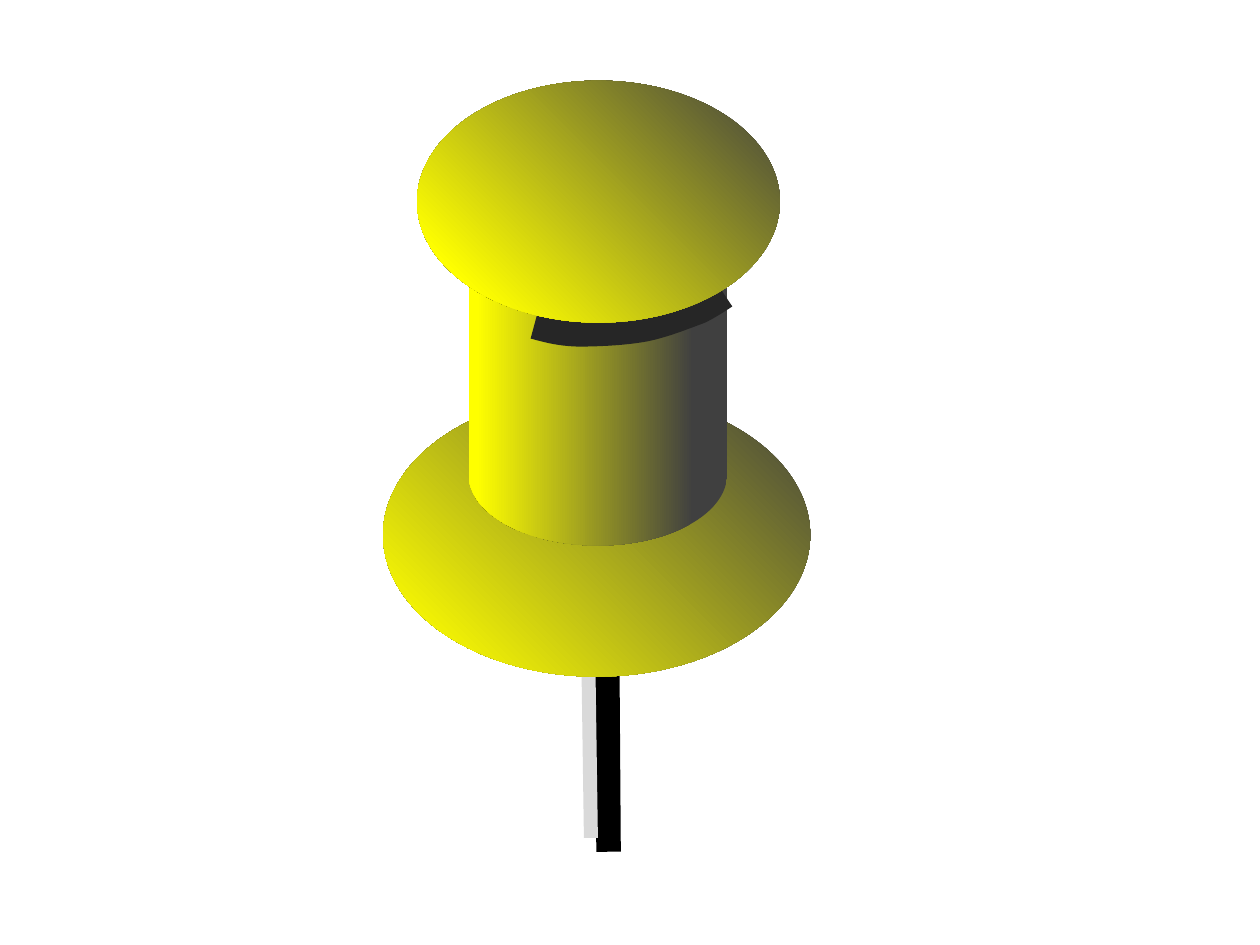
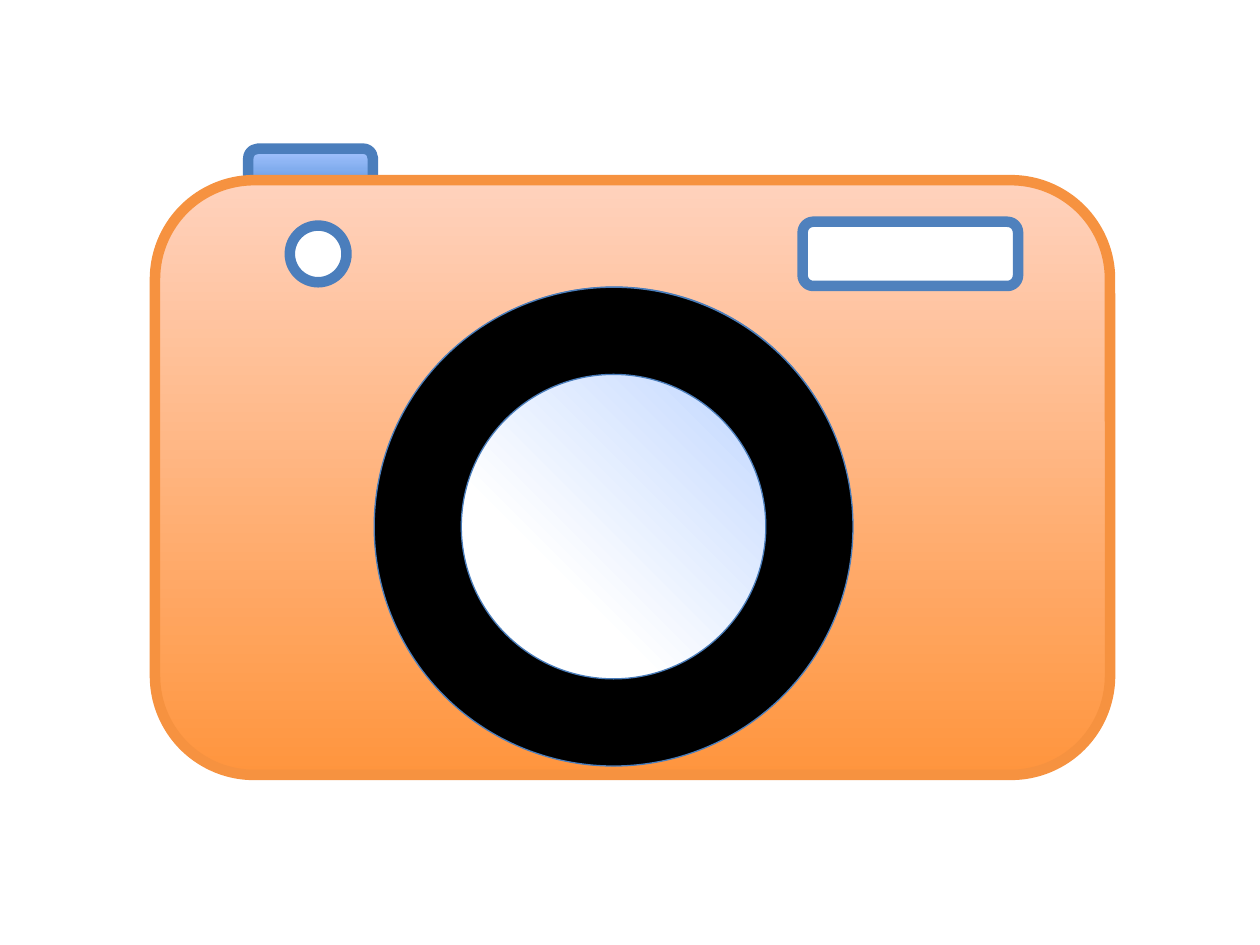
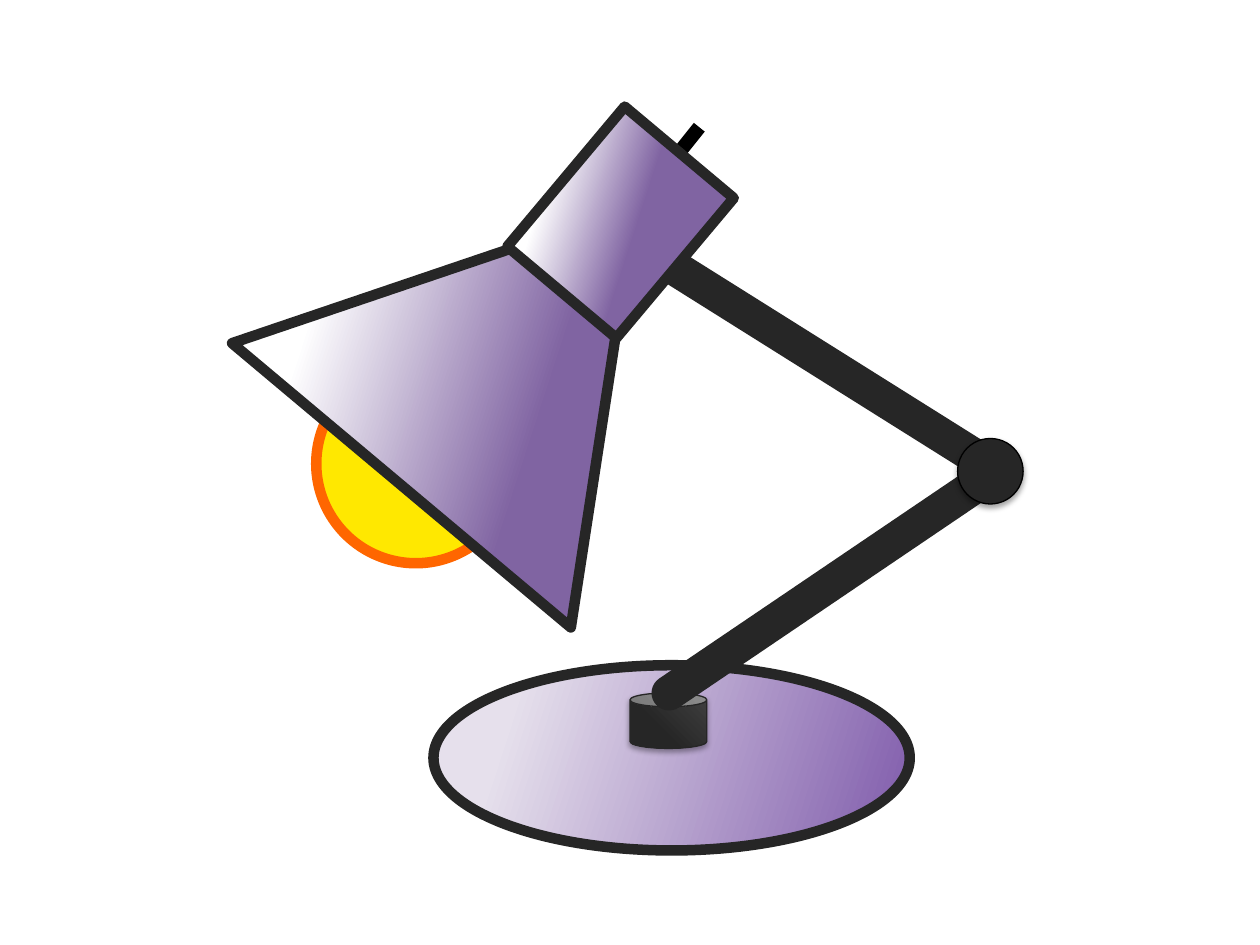
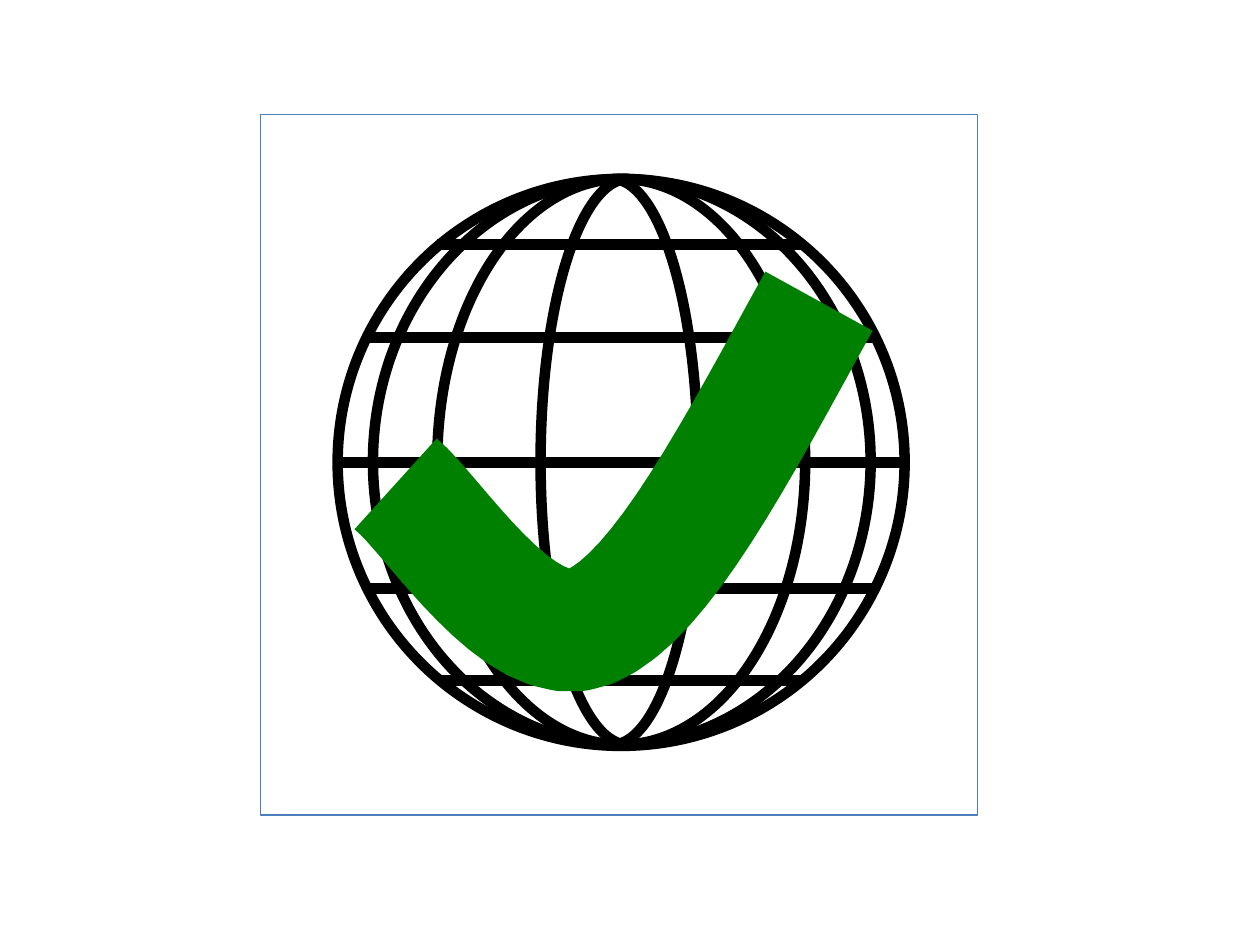
import pptx
import pptx.util
import pptx.oxml
import pptx.oxml.ns
import pptx.dml.color
import pptx.enum.shapes
from dataclasses import dataclass

Inches = pptx.util.Inches
Pt = pptx.util.Pt
MSO = pptx.enum.shapes.MSO_SHAPE


@dataclass(frozen=True)
class Theme:
    black: str = "000000"
    white: str = "FFFFFF"
    ink: str = "262626"
    grey: str = "404040"
    silver: str = "D9D9D9"
    yellow: str = "FFFF00"
    bulb: str = "FFE800"
    glow: str = "FF6600"
    blue: str = "4B7EBC"
    window: str = "4F81BD"
    deep_blue: str = "3F80CE"
    sky: str = "A4C4FF"
    orange: str = "FF953E"
    peach: str = "FFD2BD"
    rim: str = "F69240"
    purple: str = "8064A2"
    violet: str = "7F5BAB"
    lilac: str = "E6E0EC"
    green: str = "008000"
    hair: float = 0.75
    bold: float = 6
    pin: float = 8
    arm: float = 20


T = Theme()


@dataclass(frozen=True)
class Grad:
    stops: tuple
    angle: int = None


def corner(start, first, last=T.grey):
    return Grad(((start, first), (100, last)))


SHADE = Grad(((44, T.purple), (79, T.white)), 198)
DARK = (T.ink, T.bold)
BLACK = (T.black, T.bold)
BLUE = (T.blue, T.bold)
HAIR = (T.blue, T.hair)


def shape(kind, box, fill=None, line=None, **extra):
    return {"kind": kind, "box": box, "fill": fill, "line": line, **extra}


def line(start, end, pen, cap="flat"):
    return {"start": start, "end": end, "line": pen, "cap": cap}


def curve(points, pen):
    return {"curve": points, "line": pen}


def group(*parts):
    return {"group": parts}


PUSHPIN = [
    line((4.82, 5.29), (4.83, 6.76), (T.black, 14)),
    line((4.67, 5.25), (4.69, 6.65), (T.silver, T.pin)),
    shape(MSO.FLOWCHART_CONNECTOR, (3.04, 3.12, 3.39, 2.25), corner(7, T.yellow)),
    shape(MSO.FLOWCHART_MAGNETIC_DISK, (3.72, 0.96, 2.05, 3.37),
          Grad(((13, T.grey), (97, T.yellow)), 180)),
    curve([(4.24, 2.58), (4.35, 2.61), (4.46, 2.64), (4.61, 2.64),
           (4.75, 2.64), (4.96, 2.63), (5.12, 2.6),
           (5.27, 2.57), (5.44, 2.5), (5.55, 2.46),
           (5.65, 2.41), (5.75, 2.34), (5.75, 2.34)], (T.ink, 16)),
    shape(MSO.FLOWCHART_CONNECTOR, (3.31, 0.64, 2.88, 1.92), corner(14, T.yellow)),
]

CAMERA = [group(
    shape(MSO.ROUNDED_RECTANGLE, (1.97, 1.18, 0.99, 0.47),
          Grad(((0, T.deep_blue), (100, T.sky)), 270), BLUE),
    shape(MSO.ROUNDED_RECTANGLE, (1.23, 1.43, 7.58, 4.72),
          Grad(((0, T.orange), (100, T.peach)), 270), (T.rim, T.bold)),
    shape(MSO.OVAL, (2.99, 2.28, 3.77, 3.77), corner(38, T.white, T.sky), (T.blue, 1)),
    shape(MSO.DONUT, (2.97, 2.28, 3.8, 3.8), T.black, HAIR, adj=[0.182]),
    shape(MSO.ROUNDED_RECTANGLE, (6.37, 1.76, 1.71, 0.51), T.white, (T.window, T.bold)),
    shape(MSO.OVAL, (2.3, 1.79, 0.45, 0.45), T.white, BLUE),
)]

LAMP = [
    shape(MSO.OVAL, (2.51, 2.89, 1.58, 1.58), T.bulb, (T.glow, T.bold)),
    line((5.36, 2.13), (7.91, 3.73), (T.ink, T.arm), "rnd"),
    line((5.39, 1.21), (5.55, 1.01), (T.black, T.pin)),
    shape(MSO.OVAL, (3.44, 5.28, 3.78, 1.47),
          Grad(((0, T.violet), (83, T.lilac)), 198), DARK),
    group(
        shape(MSO.ISOSCELES_TRIANGLE, (2.36, 1.3, 3.51, 2.89), SHADE, DARK, rot=40),
        shape(MSO.RECTANGLE, (4.36, 1.04, 1.13, 1.45), SHADE, DARK, rot=40),
    ),
    shape(MSO.CAN, (5, 5.5, 0.61, 0.44), corner(35, T.ink), (T.ink, T.hair), shadow=True),
    line((7.91, 3.74), (5.31, 5.5), (T.ink, T.arm), "rnd"),
    shape(MSO.OVAL, (7.6, 3.48, 0.52, 0.52), T.ink, (T.black, T.hair), shadow=True),
]

RIGHT_MERIDIANS = [(2.96, 3.95), (3.47, 2.92), (4.18, 1.36)]
LEFT_MERIDIANS = [(2.96, 3.95), (3.47, 2.92), (4.29, 1.39)]
PARALLELS = [(2.68, 7.18, 3.67), (2.9, 6.97, 2.68), (3.47, 6.38, 1.94),
             (2.92, 6.94, 4.67), (3.49, 6.37, 5.4)]

GLOBE = [
    shape(MSO.OVAL, (2.68, 1.42, 4.5, 4.5), None, BLACK),
    *[shape(MSO.ARC, (x, 1.42, w, 4.49), None, BLACK, adj=[162, 54.123], flip=flip)
      for flip, meridians in ((False, RIGHT_MERIDIANS), (True, LEFT_MERIDIANS))
      for x, w in meridians],
    *[line((x1, y), (x2, y), BLACK) for x1, x2, y in PARALLELS],
    curve([(3.14, 3.84), (3.43, 4.07), (4.13, 5.21), (4.69, 4.97),
           (5.25, 4.73), (5.85, 3.57), (6.5, 2.39)], (T.green, 70)),
    shape(MSO.RECTANGLE, (2.07, 0.91, 5.69, 5.56), None, HAIR),
]

SLIDES = [PUSHPIN, CAMERA, LAMP, GLOBE]
STEPS = 16


def rgb(color):
    return pptx.dml.color.RGBColor.from_string(color)


def xml(tag, body="", **attrs):
    ns = pptx.oxml.ns.nsdecls("a")
    listed = "".join(f' {k}="{v}"' for k, v in attrs.items())
    return pptx.oxml.parse_xml(f"<a:{tag} {ns}{listed}>{body}</a:{tag}>")


def set_gradient(sp, grad):
    stops = "".join(f'<a:gs pos="{pos * 1000}"><a:srgbClr val="{color}"/></a:gs>'
                    for pos, color in grad.stops)
    if grad.angle is None:
        way = '<a:path path="circle"><a:fillToRect t="100000" r="100000"/></a:path>'
    else:
        way = f'<a:lin ang="{grad.angle * 60000}" scaled="0"/>'
    fill = xml("gradFill", f"<a:gsLst>{stops}</a:gsLst>{way}", rotWithShape=0)
    sp._element.spPr.find(pptx.oxml.ns.qn("a:prstGeom")).addnext(fill)


def set_fill(sp, fill):
    if fill is None:
        sp.fill.background()
    elif isinstance(fill, Grad):
        set_gradient(sp, fill)
    else:
        sp.fill.solid()
        sp.fill.fore_color.rgb = rgb(fill)


def set_line(sp, pen):
    if pen is None:
        sp.line.fill.background()
        return
    color, width = pen
    sp.line.color.rgb = rgb(color)
    sp.line.width = Pt(width)


def draw_shape(shapes, part):
    sp = shapes.add_shape(part["kind"], *map(Inches, part["box"]))
    for i, value in enumerate(part.get("adj", [])):
        sp.adjustments[i] = value
    sp.rotation = part.get("rot", 0)
    if part.get("flip"):
        sp._element.spPr.xfrm.set("flipH", "1")
    set_fill(sp, part["fill"])
    set_line(sp, part["line"])
    sp.shadow.inherit = False
    if part.get("shadow"):
        effects = sp._element.spPr.find(pptx.oxml.ns.qn("a:effectLst"))
        effects.append(xml(
            "outerShdw",
            f'<a:srgbClr val="{T.black}"><a:alpha val="35000"/></a:srgbClr>',
            blurRad=Pt(3.1), dist=Pt(1.8), dir=90 * 60000, rotWithShape=0))


def draw_line(shapes, part):
    cn = shapes.add_connector(pptx.enum.shapes.MSO_CONNECTOR.STRAIGHT,
                              *map(Inches, part["start"] + part["end"]))
    set_line(cn, part["line"])
    cn.line._ln.set("cap", part["cap"])
    cn._element.spPr.append(xml("effectLst"))


def bezier(a, b, c, d, t):
    u = 1 - t
    return tuple(Inches(u**3 * p + 3 * u * u * t * q + 3 * u * t * t * r + t**3 * s)
                 for p, q, r, s in zip(a, b, c, d))


def draw_curve(shapes, part):
    points = part["curve"]
    builder = shapes.build_freeform(*map(Inches, points[0]))
    builder.add_line_segments(
        [bezier(*points[i:i + 4], step / STEPS)
         for i in range(0, len(points) - 1, 3) for step in range(1, STEPS + 1)],
        close=False)
    sp = builder.convert_to_shape()
    set_fill(sp, None)
    set_line(sp, part["line"])
    sp.shadow.inherit = False


def draw(shapes, parts):
    for part in parts:
        if "group" in part:
            draw(shapes.add_group_shape().shapes, part["group"])
        elif "curve" in part:
            draw_curve(shapes, part)
        elif "start" in part:
            draw_line(shapes, part)
        else:
            draw_shape(shapes, part)


def main():
    prs = pptx.Presentation()
    prs.slide_width, prs.slide_height = Inches(10), Inches(7.5)
    for parts in SLIDES:
        s = prs.slides.add_slide(prs.slide_layouts[6])
        draw(s.shapes, parts)
    prs.save("out.pptx")


if __name__ == "__main__":
    main()
